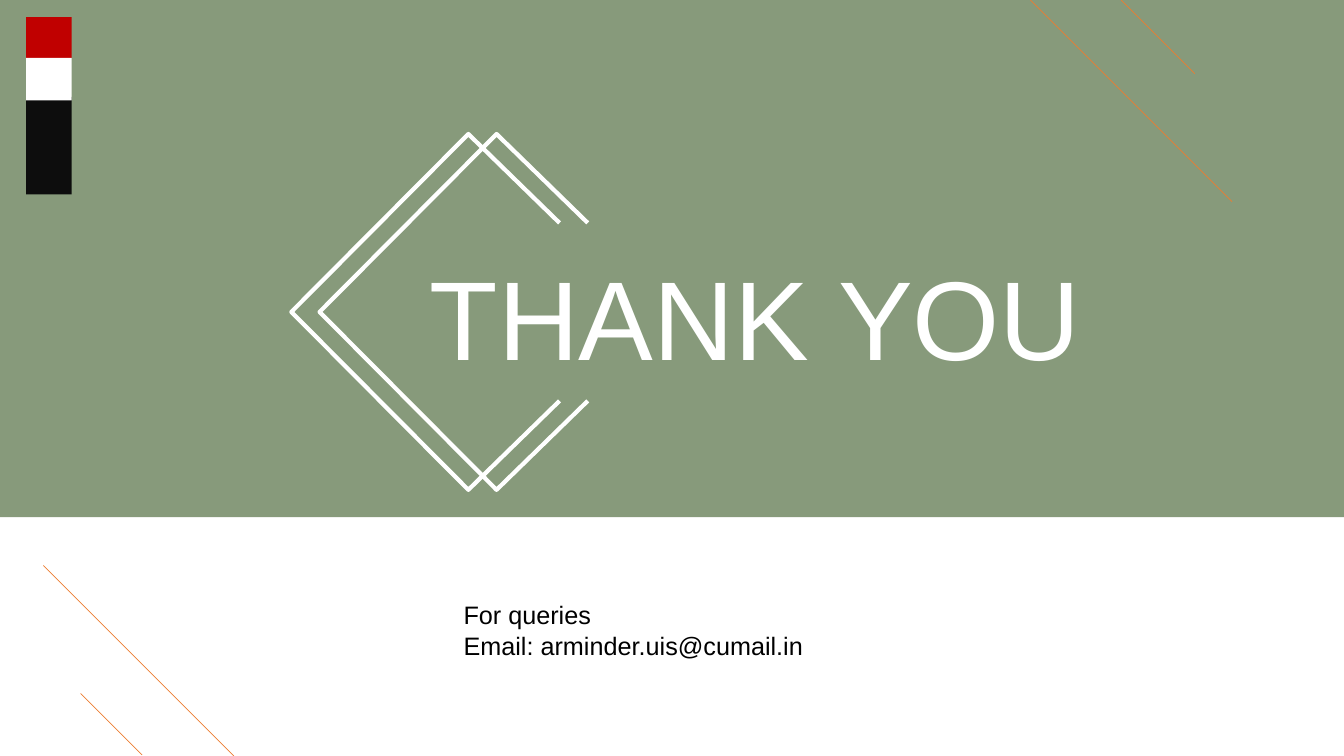
from dataclasses import dataclass

from lxml.etree import SubElement
from pptx import Presentation
from pptx.dml.color import RGBColor
from pptx.enum.shapes import MSO_CONNECTOR, MSO_SHAPE
from pptx.enum.text import MSO_ANCHOR, PP_ALIGN
from pptx.oxml.ns import qn
from pptx.util import Inches, Pt


@dataclass(frozen=True)
class Theme:
    green: str = "385723"
    green_opacity: int = 60
    orange: str = "ED7D31"
    red: str = "C00000"
    white: str = "FFFFFF"
    near_black: str = "0D0D0D"
    black: str = "000000"
    font: str = "Arial"
    title_size: int = 80
    body_size: int = 18
    thin_line: float = 0.5
    thick_line: float = 3


THEME = Theme()
WIDTH, HEIGHT = 13.33, 7.5


def inches(*lengths):
    return [Inches(length) for length in lengths]


def add_block(shapes, box, color, opacity=100):
    block = shapes.add_shape(MSO_SHAPE.RECTANGLE, *inches(*box))
    block.shadow.inherit = False
    block.fill.solid()
    block.fill.fore_color.rgb = RGBColor.from_string(color)
    block.line.fill.background()
    if opacity < 100:
        color_element = block._element.spPr.find(f".//{qn('a:srgbClr')}")
        SubElement(color_element, qn("a:alpha"), val=str(opacity * 1000))


def add_diagonals(slide, starts_and_lengths):
    """Draw thin lines falling to the right at 45 degrees."""
    for left, top, length in starts_and_lengths:
        line = slide.shapes.add_connector(
            MSO_CONNECTOR.STRAIGHT, *inches(left, top, left + length, top + length))
        line.line.color.rgb = RGBColor.from_string(THEME.orange)
        line.line.width = Pt(THEME.thin_line)
        SubElement(line._element.spPr, qn("a:effectLst"))


def add_text(slide, box, lines, size, color, align=PP_ALIGN.LEFT, **frame_format):
    frame = slide.shapes.add_textbox(*inches(*box)).text_frame
    for name, value in {"word_wrap": True, **frame_format}.items():
        setattr(frame, name, value)
    frame.text = "\n".join(lines)
    font_format = {"name": THEME.font, "size": Pt(size)}
    for paragraph in frame.paragraphs:
        paragraph.alignment = align
        for run in paragraph.runs:
            for name, value in font_format.items():
                setattr(run.font, name, value)
            run.font.color.rgb = RGBColor.from_string(color)


def add_open_diamond(slide, box):
    """Outline a diamond whose right corner is cut away."""
    left, top, width, height = box
    shares = [(1, 0.75), (0.66, 1), (0, 0.5), (0.66, 0), (1, 0.25)]
    points = [inches(left + x * width, top + y * height) for x, y in shares]
    builder = slide.shapes.build_freeform(*points[0])
    builder.add_line_segments(points[1:], close=False)
    diamond = builder.convert_to_shape()
    diamond.shadow.inherit = False
    diamond.fill.background()
    diamond.line.color.rgb = RGBColor.from_string(THEME.white)
    diamond.line.width = Pt(THEME.thick_line)


def add_color_tab(slide, box):
    left, top, width, height = box
    group = slide.shapes.add_group_shape()
    for start, share, color in [(0, 0.23, THEME.red),
                                (0.45, 0.55, THEME.near_black),
                                (0.23, 0.24, THEME.white)]:
        add_block(group.shapes, (left, top + start * height, width, share * height), color)


def add_banner(slide, box):
    left, top, width, height = box
    add_block(slide.shapes, box, THEME.green, THEME.green_opacity)
    add_diagonals(slide, [(left + 10.22, top, 2), (left + 11.12, top, 0.73)])
    add_text(slide, (left + 1.63, top + 2.46, 11.73, 1.35), ["THANK YOU"],
             THEME.title_size, THEME.white, PP_ALIGN.CENTER,
             vertical_anchor=MSO_ANCHOR.MIDDLE, margin_left=0, margin_top=0,
             margin_right=0, margin_bottom=0)
    for offset in (2.89, 3.17):
        add_open_diamond(slide, (left + offset, top + 1.33, 2.66, 3.53))
    add_color_tab(slide, (left + 0.26, top + 0.17, 0.45, 1.76))


def add_contact(slide, box):
    left, top, width, height = box
    bottom = top + height
    add_diagonals(slide, [(left + 0.8, bottom - 0.62, 0.61),
                          (left + 0.43, bottom - 1.89, 1.89)])
    add_text(slide, (left + 4.5, top + 0.77, 4.33, 0.71),
             ["For queries", "Email: arminder.uis@cumail.in"],
             THEME.body_size, THEME.black)


def main():
    presentation = Presentation()
    presentation.slide_width, presentation.slide_height = inches(WIDTH, HEIGHT)
    slide = presentation.slides.add_slide(presentation.slide_layouts[6])
    banner_height = 5.13
    add_banner(slide, (0, 0, WIDTH, banner_height))
    add_contact(slide, (0, banner_height, WIDTH, HEIGHT - banner_height))
    presentation.save("out.pptx")


if __name__ == "__main__":
    main()
